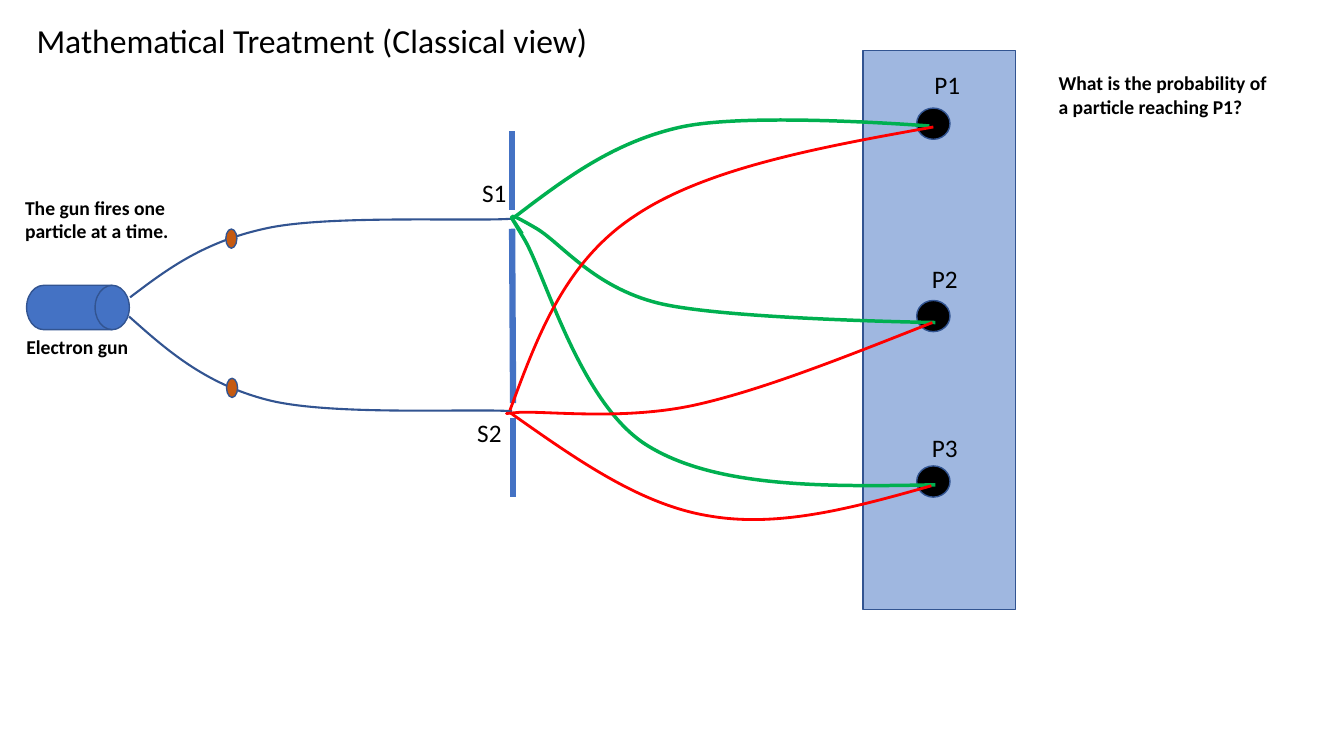
from lxml import etree
from pptx import Presentation
from pptx.dml.color import RGBColor
from pptx.enum.shapes import MSO_CONNECTOR, MSO_SHAPE
from pptx.enum.text import MSO_AUTO_SIZE
from pptx.oxml.ns import qn
from pptx.util import Pt

DRUM = MSO_SHAPE.FLOWCHART_DIRECT_ACCESS_STORAGE
RECTANGLE = MSO_SHAPE.RECTANGLE
OVAL = MSO_SHAPE.OVAL
STRAIGHT = MSO_CONNECTOR.STRAIGHT
FIT_SHAPE = MSO_AUTO_SIZE.SHAPE_TO_FIT_TEXT

FONT = "Calibri"
COLORS = {
    "blue": "4472C4",
    "outline": "325491",
    "black": "000000",
    "green": "00B050",
    "red": "FF0000",
    "particle": "C55A11",
}
BOUND_STEPS = 50

GUN_PATHS = [
    [(92.9, 212.4), (119.5, 192.2), (146.2, 172.1), (192.2, 162.7),
     (237.6, 153.4), (339.8, 158.4), (365.8, 156.2)],
    [(92.2, 226.1), (118.8, 249.8), (146.2, 274.3), (191.5, 285.8),
     (236.9, 297.4), (339.8, 291.6), (365.8, 293.8)],
]
S1_PATHS = [
    [(365, 157), (401, 129.6), (437, 101.5), (486.7, 90.7),
     (536.4, 79.9), (663.8, 90), (663.8, 90)],
    [(365.8, 155.5), (365.8, 154.1), (365, 152.6), (382.3, 162.7),
     (400.3, 172.8), (423.4, 205.2), (470.9, 216.7),
     (518.4, 228.2), (668.2, 230.4), (668.2, 230.4)],
    [(373, 167), (365.8, 156.2), (359.3, 145.4), (374.4, 170.6),
     (389.5, 195.8), (414.7, 290.2), (463.7, 319),
     (512.6, 348.5), (590.4, 347.8), (668.2, 346.3)],
]
S2_PATHS = [
    [(365, 295.2), (411.1, 327.6), (457.2, 360.7), (506.9, 368.6),
     (557.3, 377.3), (611.3, 362.2), (665.3, 347)],
    [(363.6, 295.2), (356.4, 295.9), (371.5, 294.5), (371.5, 294.5),
     (393.1, 293.8), (446.4, 300.2), (496.1, 289.4),
     (545, 278.6), (605.5, 254.2), (666, 230.4)],
    [(364.3, 293), (383.8, 240.5), (403.2, 187.2), (453.6, 154.1),
     (504, 120.2), (585.4, 105.1), (666.7, 90.7)],
]


def color(name):
    return RGBColor.from_string(COLORS[name])


def add_text(page, text, left, top, width, height, size, bold=False, wrap=True):
    box = page.shapes.add_textbox(Pt(left), Pt(top), Pt(width), Pt(height))
    frame = box.text_frame
    frame.word_wrap = wrap
    frame.auto_size = FIT_SHAPE
    para = frame.paragraphs[0]
    para.text = text
    para.font.name = FONT
    para.font.size = Pt(size)
    para.font.bold = bold
    para.font.color.rgb = color("black")


def add_solid(page, kind, left, top, width, height, fill, opacity=100):
    shape = page.shapes.add_shape(kind, Pt(left), Pt(top), Pt(width), Pt(height))
    shape.shadow.inherit = False
    shape.fill.solid()
    shape.fill.fore_color.rgb = color(fill)
    shape.line.color.rgb = color("outline")
    shape.line.width = Pt(1)
    if opacity < 100:
        tint = shape.fill._xPr.find(qn("a:solidFill")).find(qn("a:srgbClr"))
        etree.SubElement(tint, qn("a:alpha")).set("val", str(opacity * 1000))


def add_barrier(page, start_x, start_y, end_x, end_y):
    barrier = page.shapes.add_connector(
        STRAIGHT, Pt(start_x), Pt(start_y), Pt(end_x), Pt(end_y))
    barrier.line.color.rgb = color("blue")
    barrier.line.width = Pt(4.5)
    etree.SubElement(barrier._element.spPr, qn("a:effectLst"))


def bezier(values, t):
    weights = ((1 - t) ** 3, 3 * t * (1 - t) ** 2, 3 * t ** 2 * (1 - t), t ** 3)
    return sum(weight * value for weight, value in zip(weights, values))


def curve_bounds(controls, axis):
    values = [control[axis] for control in controls]
    reached = [bezier(values[first:first + 4], step / BOUND_STEPS)
               for first in range(0, len(values) - 1, 3)
               for step in range(BOUND_STEPS + 1)]
    return Pt(min(reached)), Pt(max(reached))


def bend_segments(curve, controls):
    left, right = curve_bounds(controls, 0)
    top, bottom = curve_bounds(controls, 1)
    curve.left, curve.top = left, top
    curve.width, curve.height = right - left, bottom - top
    outline = next(curve._element.iter(qn("a:path")))
    outline.set("w", str(right - left))
    outline.set("h", str(bottom - top))
    points = list(outline.iter(qn("a:pt")))
    for point, (x, y) in zip(points, controls):
        point.set("x", str(Pt(x) - left))
        point.set("y", str(Pt(y) - top))
    for segment in outline.findall(qn("a:lnTo")):
        outline.remove(segment)
    for first in range(1, len(points), 3):
        etree.SubElement(outline, qn("a:cubicBezTo")).extend(points[first:first + 3])


def add_curve(page, controls, line_color, width):
    start, *others = [(Pt(x), Pt(y)) for x, y in controls]
    builder = page.shapes.build_freeform(*start)
    builder.add_line_segments(others, close=False)
    curve = builder.convert_to_shape()
    bend_segments(curve, controls)
    curve.shadow.inherit = False
    curve.fill.background()
    curve.line.color.rgb = color(line_color)
    curve.line.width = Pt(width)


def main():
    deck = Presentation()
    deck.slide_width = Pt(960)
    deck.slide_height = Pt(540)
    page = deck.slides.add_slide(deck.slide_layouts[6])

    add_text(page, "Mathematical Treatment (Classical view)",
             19, 10.4, 411.8, 36, 24, wrap=False)
    add_solid(page, DRUM, 19, 203.8, 73.4, 31.7, "blue")
    for ends in ((365.8, 93.6, 365.8, 150.2),
                 (365.8, 163.4, 366.5, 288),
                 (366.5, 298.8, 366.5, 355)):
        add_barrier(page, *ends)
    add_solid(page, RECTANGLE, 616.3, 36, 109, 399.2, "blue", opacity=51)

    for controls in GUN_PATHS:
        add_curve(page, controls, "outline", 1.5)
    for slit, left, top in (("S1", 337.2, 123.1), ("S2", 333.8, 294.5)):
        add_text(page, slit, left, top, 32.4, 28.8, 18, wrap=False)
    for top in (77.2, 214.6, 332.8):
        add_solid(page, OVAL, 654.8, top, 23.8, 22.3, "black")

    for controls in S1_PATHS:
        add_curve(page, controls, "green", 2.5)
    for controls in S2_PATHS:
        add_curve(page, controls, "red", 2)
    for target, left, top in (("P1", 660.3, 45.7),
                              ("P2", 658.6, 184.3),
                              ("P3", 658.6, 305.3)):
        add_text(page, target, left, top, 36.7, 28.8, 18)

    for note, left, top, width, height in (
            ("The gun fires one particle at a time.", 10.8, 136.1, 119.5, 41),
            ("Electron gun", 11.7, 235.4, 87.8, 24.5),
            ("What is the probability of a particle reaching P1?",
             749, 47.2, 164.9, 41)):
        add_text(page, note, left, top, width, height, 14, bold=True)
    for left, top in ((161.3, 163.6), (161.8, 270.2)):
        add_solid(page, OVAL, left, top, 7.9, 13.7, "particle")

    deck.save("out.pptx")


if __name__ == "__main__":
    main()
